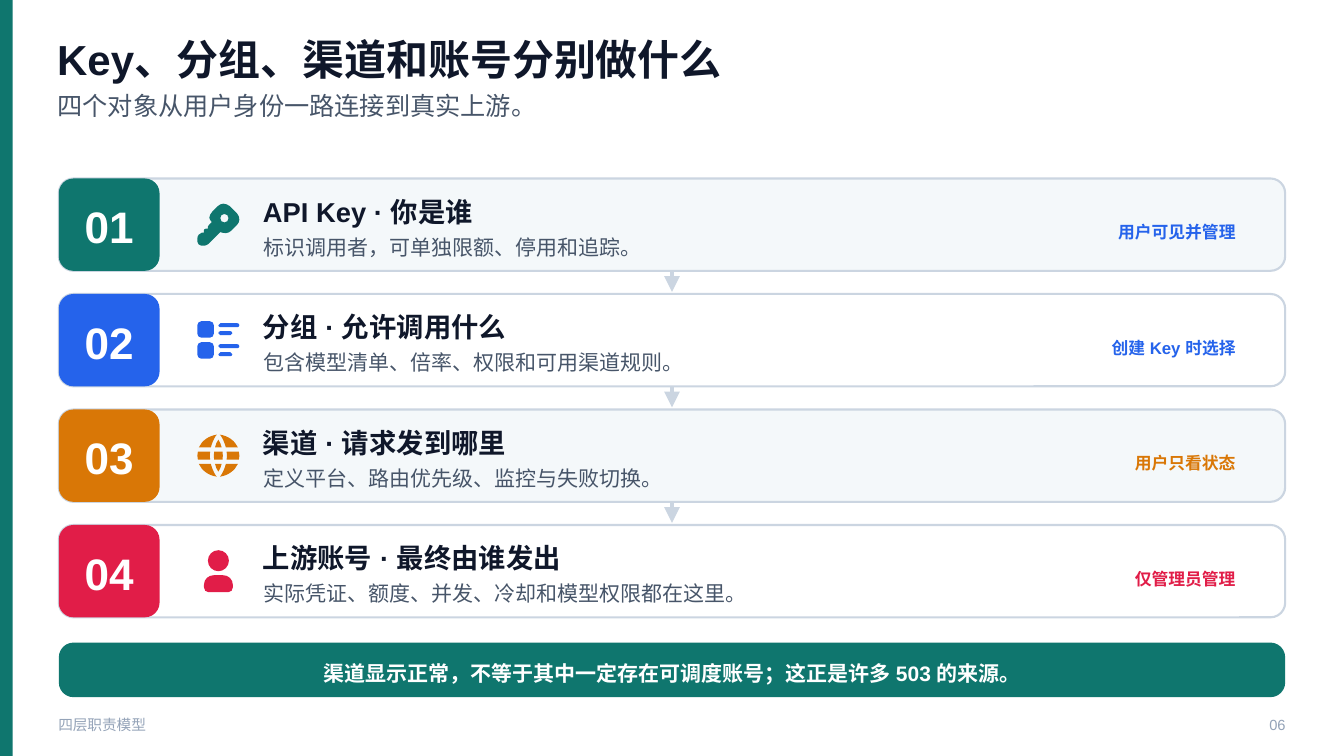
from pptx import Presentation
from pptx.dml.color import RGBColor
from pptx.enum.shapes import MSO_CONNECTOR, MSO_SHAPE
from pptx.enum.text import MSO_ANCHOR, PP_ALIGN
from pptx.oxml.ns import qn
from pptx.util import Emu, Pt
from lxml import etree

SLIDE_W, SLIDE_H = Emu(12192000), Emu(6858000)
COLUMNS = 160
CELL = SLIDE_W / COLUMNS
FONT = "Arial"

WHITE = RGBColor(0xFF, 0xFF, 0xFF)
TEAL = RGBColor(0x0F, 0x76, 0x6E)
BLUE = RGBColor(0x25, 0x63, 0xEB)
AMBER = RGBColor(0xD9, 0x77, 0x06)
ROSE = RGBColor(0xE1, 0x1D, 0x48)
INK = RGBColor(0x0F, 0x17, 0x2A)
SLATE = RGBColor(0x47, 0x55, 0x69)
MUTED = RGBColor(0x94, 0xA3, 0xB8)
BORDER = RGBColor(0xCB, 0xD5, 0xE1)
PALE = RGBColor(0xF4, 0xF8, 0xFA)

LEFT, WIDTH = 7, 146
ROW_TOP, ROW_PITCH, ROW_H = 21.25, 13.75, 11
TILE_W = 12
RADIUS = 1.75
ICON_X, ICON_SIZE, ICON_UNITS = 26, 5, 42


def rounded(x, y, w, h, r):
    """Return the path of a rounded rectangle in icon units."""
    right, bottom, k = x + w, y + h, r * 0.45
    return (f"M {x + r} {y} L {right - r} {y} C {right - k} {y} {right} {y + k} {right} {y + r} "
            f"L {right} {bottom - r} C {right} {bottom - k} {right - k} {bottom} {right - r} {bottom} "
            f"L {x + r} {bottom} C {x + k} {bottom} {x} {bottom - k} {x} {bottom - r} "
            f"L {x} {y + r} C {x} {y + k} {x + k} {y} {x + r} {y} ")


def list_path():
    """Return the path of two bullets with two bars each."""
    return "".join(
        rounded(-21, y, 16.5, 16.5, 4) + rounded(0, y + 2, 21, 4, 2) + rounded(0, y + 10, 14, 4, 2)
        for y in (-19, 2))


KEY = ("M 5 -21 C 7 -21 9.5 -20 11.5 -18.5 L 18.5 -11.5 C 20.5 -9.5 21 -7 21 -5 "
       "C 21 -3 20 -1 18.5 0.5 L 13 6 C 10 9 6 9 2 7.5 L -9.5 19 C -10.5 20 -12 20.5 -13.5 21 "
       "L -17 21 C -19 21 -21 19 -21 17 L -21 14 C -21 12.5 -20.5 11 -19.5 10 L -18 9 "
       "C -17.5 8.5 -17 8 -16.5 8 L -14.5 8 L -14.5 6 C -14.5 5 -13.5 4 -12.5 4 L -10.5 4 "
       "L -10.5 2 C -10.5 1.5 -10 1 -9.5 0.5 L -6.5 -2.5 C -8 -4 -9 -6 -9 -7 "
       "C -9 -9 -7.5 -11.5 -6 -13 L -0.5 -18.5 C 1 -20 3 -21 5 -21 "
       "M 6 -10.7 C 3.5 -10.7 2 -9 2 -6.5 C 2 -4 3.5 -2.2 6 -2.2 "
       "C 8.5 -2.2 10.2 -4 10.2 -6.5 C 10.2 -9 8.5 -10.7 6 -10.7")
GLOBE_CORNER = "M 1.5 -21 C 9.5 -20 16.5 -15 19.5 -8.3 L 7.5 -8.3 C 6.5 -12 5 -16 2.5 -20"
GLOBE_CAP = "M 0 -16 C 1.5 -14 2.8 -11 3.3 -8.3 L -3.3 -8.3 C -2.8 -11 -1.5 -14 0 -16"
GLOBE_SIDE = "M 8.3 -4 C 8.6 -1.5 8.6 1.5 8.3 4 L 20.5 4 C 21.2 1.5 21.2 -1.5 20.5 -4"
GLOBE_MIDDLE = "M -4.2 -4 L 4.2 -4 C 4.6 -1.5 4.6 1.5 4.2 4 L -4.2 4 C -4.6 1.5 -4.6 -1.5 -4.2 -4"
HEAD = ("M 0 -21 C 5.8 -21 10.5 -16.3 10.5 -10.5 C 10.5 -4.7 5.8 0 0 0 "
        "C -5.8 0 -10.5 -4.7 -10.5 -10.5 C -10.5 -16.3 -5.8 -21 0 -21")
BODY = ("M 4.3 4 C 10 4 14.5 8 14.5 14 L 14.5 16 C 14.5 19 12.5 21 10 21 L -10 21 "
        "C -12.5 21 -14.5 19 -14.5 16 L -14.5 14 C -14.5 8 -10 4 -4.3 4")

KEY_ICON = [(KEY, 1, 1)]
LIST_ICON = [(list_path(), 1, 1)]
GLOBE_ICON = ([(GLOBE_CORNER, sx, sy) for sx in (-1, 1) for sy in (-1, 1)]
              + [(GLOBE_CAP, 1, s) for s in (-1, 1)]
              + [(GLOBE_SIDE, s, 1) for s in (-1, 1)]
              + [(GLOBE_MIDDLE, 1, 1)])
PERSON_ICON = [(HEAD, 1, 1), (BODY, 1, 1)]

LAYERS = [
    (TEAL, KEY_ICON, "API Key · 你是谁", 28.4, "标识调用者，可单独限额、停用和追踪。", 47.9,
     "用户可见并管理", 15.7, BLUE),
    (BLUE, LIST_ICON, "分组 · 允许调用什么", 33.4, "包含模型清单、倍率、权限和可用渠道规则。", 53.2,
     "创建 Key 时选择", 16.6, BLUE),
    (AMBER, GLOBE_ICON, "渠道 · 请求发到哪里", 33.4, "定义平台、路由优先级、监控与失败切换。", 50.5,
     "用户只看状态", 13.5, AMBER),
    (ROSE, PERSON_ICON, "上游账号 · 最终由谁发出", 40.6, "实际凭证、额度、并发、冷却和模型权限都在这里。", 61.2,
     "仅管理员管理", 13.5, ROSE),
]


def cells(*values):
    """Convert grid cells to EMU."""
    return [Emu(round(value * CELL)) for value in values]


def parse(path):
    """Split a path into pairs of a command and its points."""
    commands = []
    for token in path.split():
        if token in "MLC":
            commands.append((token, []))
        else:
            commands[-1][1].append(float(token))
    return [(name, list(zip(numbers[::2], numbers[1::2]))) for name, numbers in commands]


def bend(shape, commands):
    """Turn the line triples that stand for curves into Bezier segments."""
    lines = iter(list(shape._element.iter(qn("a:lnTo"))))
    for name, points in commands:
        if name == "M":
            continue
        parts = [next(lines) for _ in points]
        if name == "C":
            curve = etree.Element(qn("a:cubicBezTo"))
            parts[0].addprevious(curve)
            for part in parts:
                curve.append(part[0])
                part.getparent().remove(part)


def style(shape, fill, line=None):
    """Give a shape a flat fill and an optional outline."""
    shape.shadow.inherit = False
    shape.fill.solid()
    shape.fill.fore_color.rgb = fill
    if line is None:
        shape.line.fill.background()
    else:
        shape.line.color.rgb = line
        shape.line.width = Pt(1.5)


def add_box(slide, x, y, w, h, fill, line=None, radius=0):
    """Add a rectangle, rounded when a radius is given."""
    kind = MSO_SHAPE.ROUNDED_RECTANGLE if radius else MSO_SHAPE.RECTANGLE
    box = slide.shapes.add_shape(kind, *cells(x, y, w, h))
    if radius:
        box.adjustments[0] = radius / min(w, h)
    style(box, fill, line)


def add_text(slide, x, y, w, h, text, size, color, bold=False, align=PP_ALIGN.LEFT):
    """Add one line of text without margins."""
    frame = slide.shapes.add_textbox(*cells(x, y, w, h)).text_frame
    frame.word_wrap = True
    frame.vertical_anchor = MSO_ANCHOR.TOP
    frame.margin_left = frame.margin_right = frame.margin_top = frame.margin_bottom = 0
    paragraph = frame.paragraphs[0]
    paragraph.alignment = align
    run = paragraph.add_run()
    run.text = text
    run.font.name, run.font.size, run.font.bold = FONT, Pt(size), bold
    run.font.color.rgb = color
    etree.SubElement(run.font._element, qn("a:ea")).set("typeface", FONT)


def add_arrow(slide, x, top, bottom):
    """Add a downward arrow."""
    arrow = slide.shapes.add_connector(MSO_CONNECTOR.STRAIGHT, *cells(x, top, x, bottom))
    arrow.line.color.rgb = BORDER
    arrow.line.width = Pt(2.25)
    head = etree.SubElement(arrow.line._get_or_add_ln(), qn("a:tailEnd"))
    for name, value in (("type", "triangle"), ("w", "lg"), ("len", "lg")):
        head.set(name, value)
    etree.SubElement(arrow._element.spPr, qn("a:effectLst"))


def add_icon(slide, center_x, center_y, pieces, color):
    """Draw the pieces of an icon around its centre."""
    unit = ICON_SIZE / ICON_UNITS
    for path, flip_x, flip_y in pieces:
        commands = parse(path)
        builder = None
        for name, points in commands:
            spots = [cells(center_x + x * flip_x * unit, center_y + y * flip_y * unit)
                     for x, y in points]
            if name != "M":
                builder.add_line_segments(spots, close=False)
            elif builder is None:
                builder = slide.shapes.build_freeform(*spots[0], scale=1.0)
            else:
                builder.move_to(*spots[0])
        shape = builder.convert_to_shape()
        bend(shape, commands)
        style(shape, color)


def add_layer(slide, index, layer):
    """Add one numbered row of the model."""
    color, icon, heading, heading_w, detail, detail_w, note, note_w, note_color = layer
    top = ROW_TOP + index * ROW_PITCH
    add_box(slide, LEFT, top, WIDTH, ROW_H, WHITE if index % 2 else PALE, BORDER, RADIUS)
    add_box(slide, LEFT, top, TILE_W, ROW_H, color, radius=RADIUS)
    add_text(slide, 9.6, top + 2.5, 6.8, 8, f"{index + 1:02}", 31.5, WHITE, True, PP_ALIGN.CENTER)
    add_icon(slide, ICON_X, top + ROW_H / 2, icon, color)
    add_text(slide, 31.3, top + 1.95, heading_w, 5, heading, 19.5, INK, True)
    add_text(slide, 31.4, top + 6.65, detail_w, 3.8, detail, 15, SLATE)
    add_text(slide, 147.1 - note_w, top + 5.2, note_w, 3.1, note, 12, note_color, True, PP_ALIGN.RIGHT)


def main():
    """Build the slide and save it."""
    deck = Presentation()
    deck.slide_width, deck.slide_height = SLIDE_W, SLIDE_H
    slide = deck.slides.add_slide(deck.slide_layouts[6])
    add_box(slide, 0, 0, 1.5, 90, TEAL)
    add_text(slide, 6.8, 4, 89.2, 7.7, "Key、分组、渠道和账号分别做什么", 30, INK, True)
    add_text(slide, 6.85, 10.7, 60.6, 4.7, "四个对象从用户身份一路连接到真实上游。", 18, SLATE)
    for index in range(1, len(LAYERS)):
        next_top = ROW_TOP + index * ROW_PITCH
        add_arrow(slide, COLUMNS / 2, next_top - ROW_PITCH + ROW_H, next_top - 0.25)
    for index, layer in enumerate(LAYERS):
        add_layer(slide, index, layer)
    add_box(slide, LEFT, 76.5, WIDTH, 6.5, TEAL, radius=RADIUS)
    add_text(slide, 33.6, 78.6, 92.8, 3.8, "渠道显示正常，不等于其中一定存在可调度账号；这正是许多 503 的来源。",
             15, WHITE, True, PP_ALIGN.CENTER)
    add_text(slide, 6.95, 85.2, 11.3, 2.6, "四层职责模型", 10.5, MUTED)
    add_text(slide, 150.05, 85.2, 3, 2.6, "06", 10.5, MUTED, align=PP_ALIGN.RIGHT)
    deck.save("out.pptx")


main()
